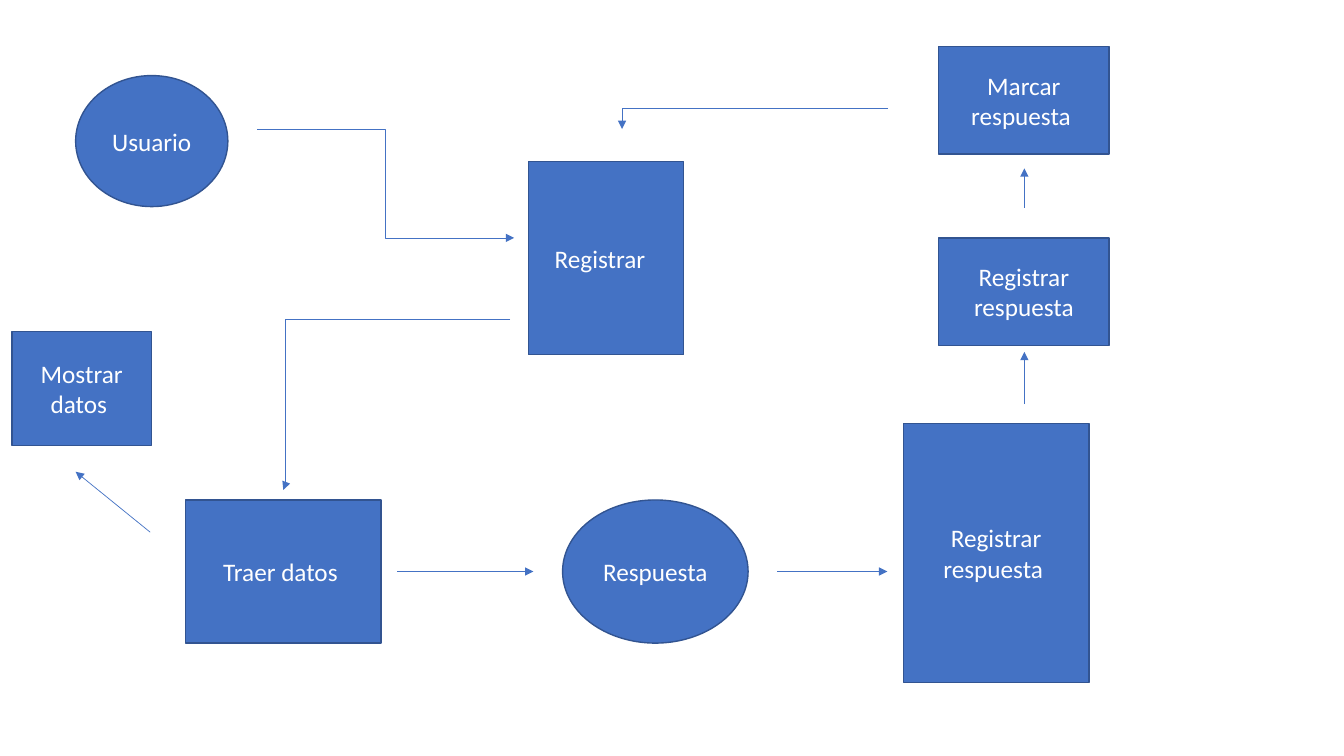
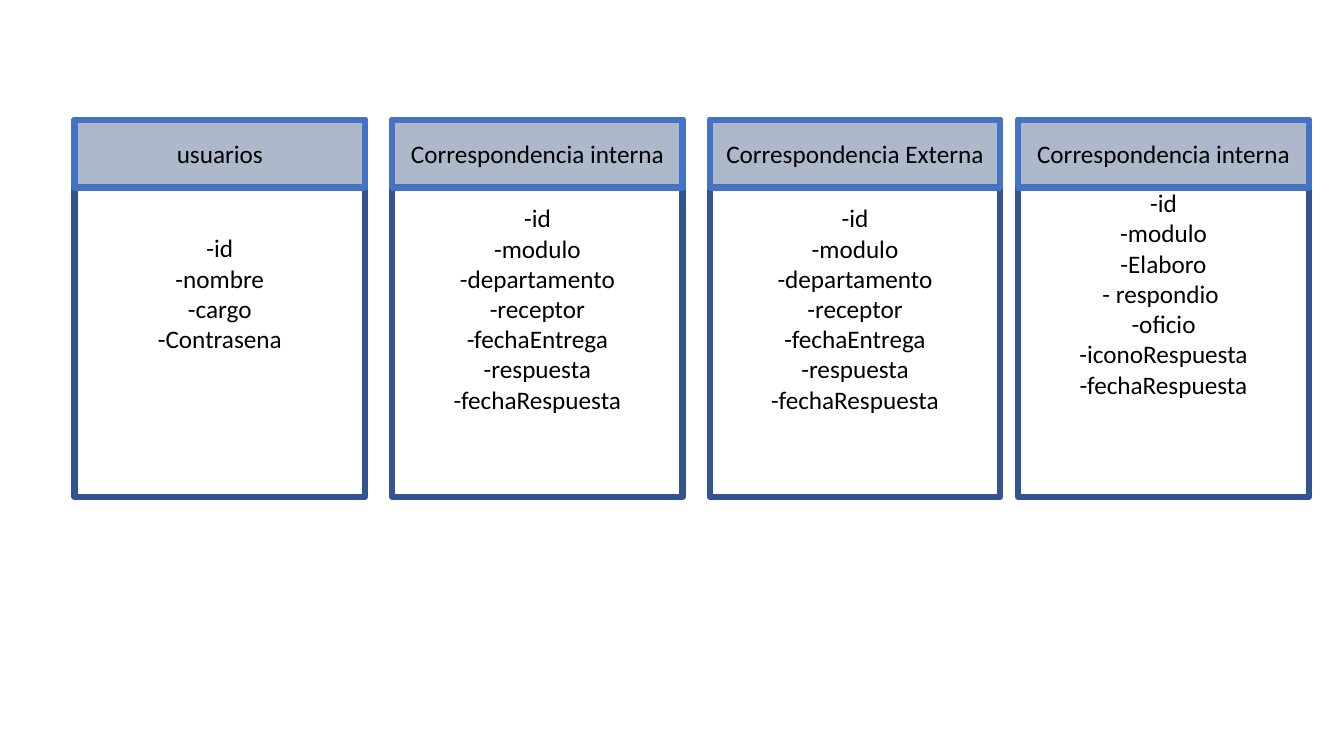
"""Build a two-slide deck: a correspondence flow diagram and its data tables."""
from dataclasses import dataclass

from lxml import etree
from pptx import Presentation
from pptx.dml.color import RGBColor
from pptx.enum.shapes import MSO_CONNECTOR, MSO_SHAPE
from pptx.enum.text import MSO_ANCHOR, PP_ALIGN
from pptx.oxml.ns import qn
from pptx.slide import Slide
from pptx.util import Inches, Pt

RECTANGLE = MSO_SHAPE.RECTANGLE
OVAL = MSO_SHAPE.OVAL
STRAIGHT = MSO_CONNECTOR.STRAIGHT
ELBOW = MSO_CONNECTOR.ELBOW
CENTER = PP_ALIGN.CENTER
MIDDLE = MSO_ANCHOR.MIDDLE

COLORS = {
    "blue": "4472C4",
    "navy": "325491",
    "steel": "ADB9CA",
    "white": "FFFFFF",
    "black": "000000",
}
FONT_FORMAT = {"name": "Calibri", "size": Pt(18)}
FRAME_FORMAT = {"word_wrap": True, "vertical_anchor": MIDDLE}
CARD_TOP, CARD_WIDTH, CARD_HEIGHT, HEADER_HEIGHT = 1.19, 2.88, 3.74, 0.67
CARD_BORDER = 4.5
LINE_HEIGHT = 0.3


@dataclass(frozen=True)
class Box:
    """A shape with centred text; lengths in inches, border in points."""
    lines: tuple[str, ...]
    left: float
    top: float
    width: float
    height: float
    shape: MSO_SHAPE = RECTANGLE
    fill: str = "blue"
    border: str = "navy"
    border_width: float = 1
    ink: str = "white"
    right_inset: float = 0.1
    bottom_inset: float = 0.05


@dataclass(frozen=True)
class Arrow:
    """A connector with an arrowhead at its end; bend is the elbow position."""
    start: tuple[float, float]
    end: tuple[float, float]
    bend: float | None = None


@dataclass(frozen=True)
class Card:
    """A data table with a title band and a list of fields."""
    title: str
    left: float
    fields: tuple[str, ...]
    raised: bool = False


MAIL_FIELDS = ("-id", "-modulo", "-departamento", "-receptor",
               "-fechaEntrega", "-respuesta", "-fechaRespuesta")

FLOW_BOXES = (
    Box(("Usuario",), 0.75, 0.75, 1.51, 1.3, OVAL),
    Box(("Registrar ",), 5.24, 1.6, 1.54, 1.92, right_inset=0.16),
    Box(("Traer datos ",), 1.84, 4.96, 1.94, 1.42),
    Box(("Respuesta",), 5.58, 4.96, 1.84, 1.42, OVAL),
    Box(("Registrar respuesta ",), 8.96, 4.2, 1.84, 2.57),
    Box(("Registrar respuesta",), 9.31, 2.36, 1.69, 1.07),
    Box(("Marcar respuesta ",), 9.31, 0.46, 1.69, 1.07),
    Box(("Mostrar datos ",), 0.12, 3.29, 1.38, 1.13),
)

FLOW_ARROWS = (
    Arrow((2.55, 1.28), (5.1, 2.36), 0.5),
    Arrow((5.06, 3.17), (2.81, 4.86), 0.99),
    Arrow((3.94, 5.67), (5.29, 5.67)),
    Arrow((7.71, 5.67), (8.8, 5.67)),
    Arrow((10.16, 4.01), (10.16, 3.49)),
    Arrow((8.81, 1.07), (6.17, 1.28), 1.0),
    Arrow((10.16, 2.06), (10.16, 1.67)),
    Arrow((1.49, 5.28), (0.75, 4.68)),
)

CARDS = (
    Card("usuarios", 0.74, ("-id", "-nombre", "-cargo", "-Contrasena"), True),
    Card("Correspondencia interna", 3.89, MAIL_FIELDS),
    Card("Correspondencia Externa", 7.04, MAIL_FIELDS),
    Card("Correspondencia interna", 10.1,
         ("-id", "-modulo", "-Elaboro", "- respondio ", "-oficio",
          "-iconoRespuesta", "-fechaRespuesta"), True),
)


def rgb(name: str) -> RGBColor:
    """Return a named colour of the deck."""
    return RGBColor.from_string(COLORS[name])


def apply_format(target: object, values: dict) -> None:
    """Set each attribute of the target from the format values."""
    for name, value in values.items():
        setattr(target, name, value)


def draw_box(page: Slide, box: Box) -> None:
    """Draw one filled and bordered shape with its text."""
    bounds = (Inches(v) for v in (box.left, box.top, box.width, box.height))
    shape = page.shapes.add_shape(box.shape, *bounds)
    shape.shadow.inherit = False
    shape.fill.solid()
    shape.fill.fore_color.rgb = rgb(box.fill)
    shape.line.color.rgb = rgb(box.border)
    shape.line.width = Pt(box.border_width)
    frame = shape.text_frame
    apply_format(frame, FRAME_FORMAT | {
        "margin_right": Inches(box.right_inset),
        "margin_bottom": Inches(box.bottom_inset),
    })
    for index, text in enumerate(box.lines):
        para = frame.add_paragraph() if index else frame.paragraphs[0]
        para.alignment = CENTER
        span = para.add_run()
        span.text = text
        apply_format(span.font, FONT_FORMAT)
        span.font.color.rgb = rgb(box.ink)


def draw_arrow(page: Slide, arrow: Arrow) -> None:
    """Draw one straight or elbow connector with a triangle head."""
    kind = STRAIGHT if arrow.bend is None else ELBOW
    points = (Inches(v) for v in (*arrow.start, *arrow.end))
    connector = page.shapes.add_connector(kind, *points)
    connector.line.color.rgb = rgb("blue")
    connector.line.width = Pt(0.5)
    properties = connector._element.spPr
    etree.SubElement(properties.find(qn("a:ln")), qn("a:tailEnd"), type="triangle")
    etree.SubElement(properties, qn("a:effectLst"))
    if arrow.bend is not None:
        guides = properties.find(qn("a:prstGeom")).find(qn("a:avLst"))
        etree.SubElement(guides, qn("a:gd"), name="adj1",
                         fmla=f"val {round(arrow.bend * 100000)}")


def draw_card(page: Slide, card: Card) -> None:
    """Draw the field list of a data table and the title band over it."""
    inset = 0.05 + (LINE_HEIGHT if card.raised else 0)
    draw_box(page, Box(card.fields, card.left, CARD_TOP, CARD_WIDTH, CARD_HEIGHT,
                       fill="white", border_width=CARD_BORDER, ink="black",
                       bottom_inset=inset))
    draw_box(page, Box((card.title,), card.left, CARD_TOP, CARD_WIDTH, HEADER_HEIGHT,
                       fill="steel", border="blue", border_width=CARD_BORDER,
                       ink="black"))


def build_deck() -> None:
    """Create both slides and save the deck."""
    deck = Presentation()
    deck.slide_width, deck.slide_height = Inches(13.33), Inches(7.5)
    blank = deck.slide_layouts[6]

    flow_page = deck.slides.add_slide(blank)
    for box in FLOW_BOXES:
        draw_box(flow_page, box)
    for arrow in FLOW_ARROWS:
        draw_arrow(flow_page, arrow)

    tables_page = deck.slides.add_slide(blank)
    for card in CARDS:
        draw_card(tables_page, card)

    deck.save("out.pptx")


build_deck()
